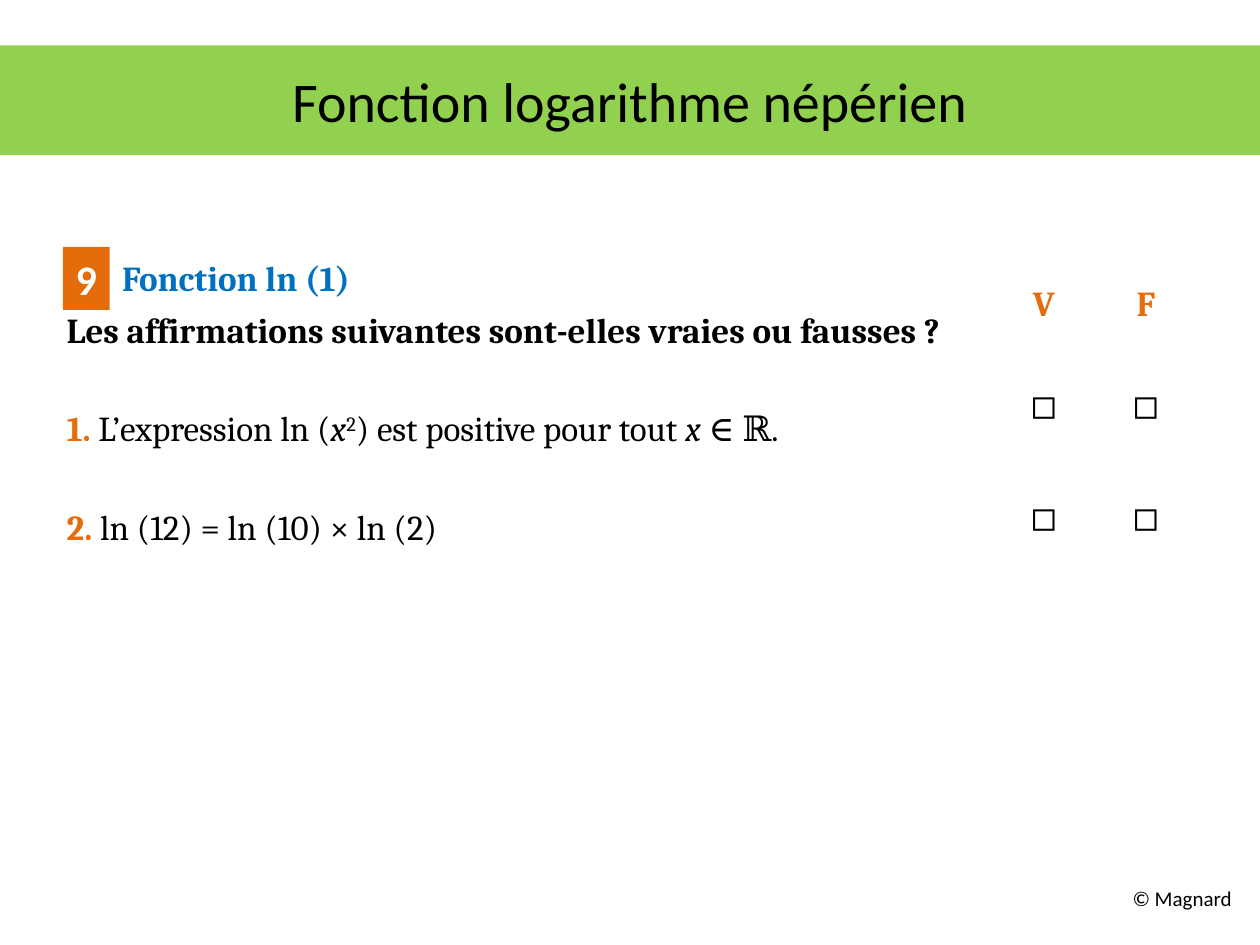
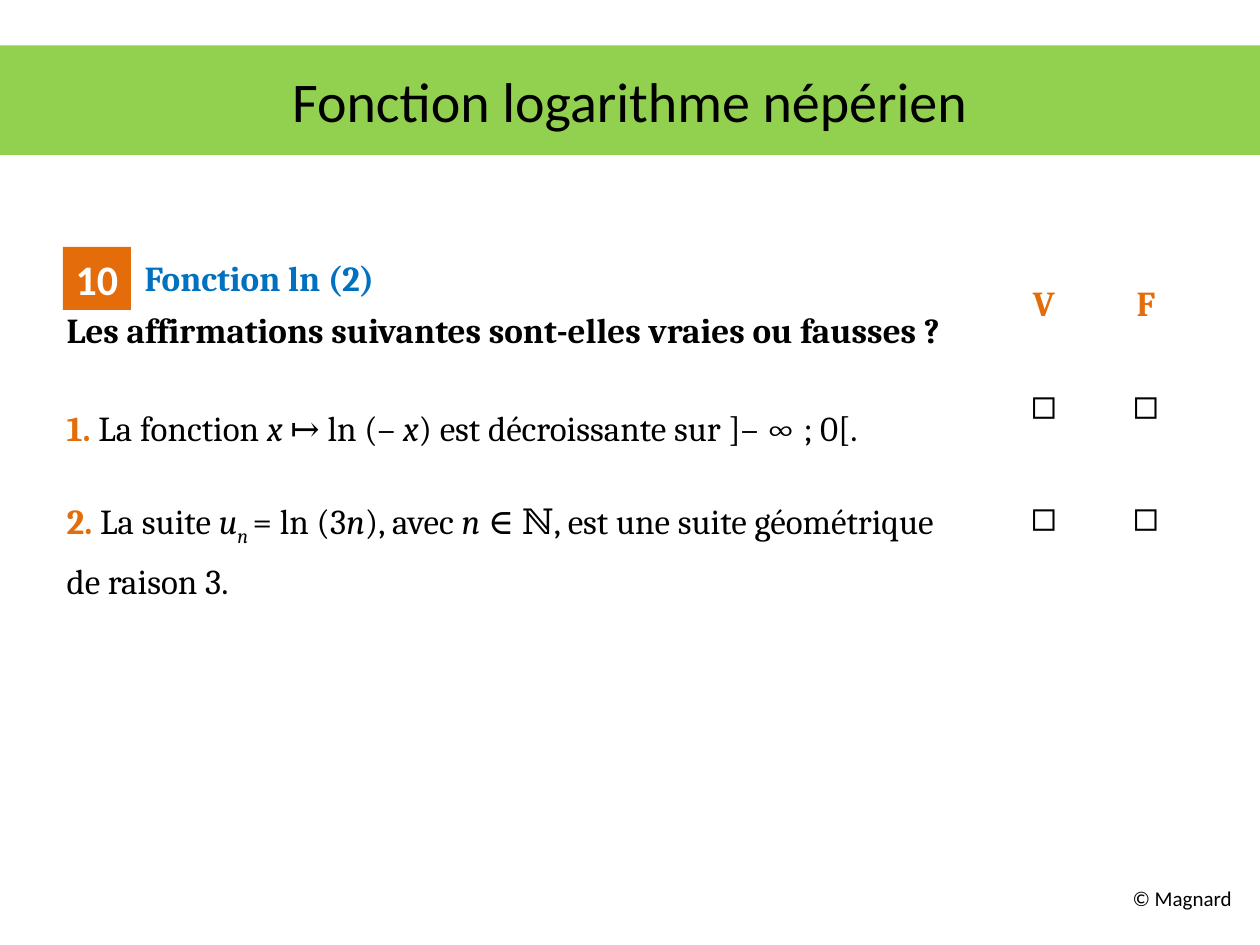
from pptx import Presentation
from pptx import util as u
from pptx.dml.color import RGBColor
from pptx.enum import shapes, text

GREEN = RGBColor(0x92, 0xD0, 0x50)
ORANGE = RGBColor(0xE4, 0x6C, 0x0A)
BLUE = RGBColor(0x00, 0x70, 0xC0)
BLACK = RGBColor(0, 0, 0)
WHITE = RGBColor(255, 255, 255)

TITLE = {"name": "Calibri", "size": u.Pt(32), "color": BLACK}
BADGE = {"name": "Calibri", "size": u.Pt(24), "color": WHITE, "bold": True}
FOOTER = {"name": "Calibri", "size": u.Pt(12), "color": BLACK}
PLAIN = {"name": "Cambria", "size": u.Pt(20), "color": BLACK, "bold": False}
STRONG = {**PLAIN, "bold": True}
ITALIC = {**PLAIN, "italic": True}
SUPER = {**PLAIN, "baseline": 30000}
SUB = {**ITALIC, "baseline": -25000}
HEADING = {**STRONG, "color": BLUE}
ACCENT = {**STRONG, "color": ORANGE}
CHECK = {**PLAIN, "size": u.Pt(24)}

QUESTION = [("Les affirmations suivantes sont-elles vraies ou fausses ?", STRONG)]
ANSWER_ROWS = [
    (0.43, ("V", "F"), ACCENT),
    (1.18, ("◻", "◻"), CHECK),
    (0.6, ("◻", "◻"), CHECK),
    (0.54, ("", ""), PLAIN),
    (0.54, ("", ""), PLAIN),
]
EXERCISES = [
    {
        "number": "9", "badge_width": 0.37, "indent": 0.44,
        "heading": "Fonction ln (1)",
        "lines": [
            (32, [("1. ", ACCENT), ("L’expression ln (", PLAIN), ("x", ITALIC),
                  ("2", SUPER), (") est positive pour tout ", PLAIN),
                  ("x ", ITALIC), ("∈ ℝ.", PLAIN)]),
            (32, [("2. ", ACCENT), ("ln (12) = ln (10) × ln (2)", PLAIN)]),
        ],
    },
    {
        "number": "10", "badge_width": 0.54, "indent": 0.62,
        "heading": "Fonction ln (2)",
        "lines": [
            (32, [("1. ", ACCENT), ("La fonction ", PLAIN), ("x ", ITALIC),
                  ("↦ ln (– ", PLAIN), ("x", ITALIC),
                  (") est décroissante sur ]– ∞ ; 0[.", PLAIN)]),
            (32, [("2. ", ACCENT), ("La suite ", PLAIN), ("u", ITALIC),
                  ("n ", SUB), ("= ln (3", PLAIN), ("n", ITALIC),
                  ("), avec ", PLAIN), ("n ", ITALIC),
                  ("∈ ℕ, est une suite géométrique", PLAIN)]),
            (7.4, [("de raison 3.", PLAIN)]),
        ],
    },
]


def inches(*lengths):
    return [u.Inches(length) for length in lengths]


def add_span(para, words, style):
    span = para.add_run()
    span.text = words
    for key, value in style.items():
        if key == "color":
            span.font.color.rgb = value
        elif key == "baseline":
            span.font._element.set("baseline", str(value))
        else:
            setattr(span.font, key, value)


def add_block(page, box, fill, words, style, wrap):
    block = page.shapes.add_shape(shapes.MSO_SHAPE.RECTANGLE, *inches(*box))
    block.shadow.inherit = False
    block.fill.solid()
    block.fill.fore_color.rgb = fill
    block.line.fill.background()
    frame = block.text_frame
    frame.word_wrap = wrap
    frame.vertical_anchor = text.MSO_ANCHOR.MIDDLE
    para = frame.paragraphs[0]
    para.alignment = text.PP_ALIGN.CENTER
    add_span(para, words, style)


def add_footer(page, box):
    frame = page.shapes.add_textbox(*inches(*box)).text_frame
    frame.word_wrap = False
    add_span(frame.paragraphs[0], "© Magnard", FOOTER)


def add_statements(page, box, exercise):
    left, top, width, height = box
    frame = page.shapes.add_textbox(*inches(left, top, width, height)).text_frame
    frame.word_wrap = True
    lines = [(0, [(exercise["heading"], HEADING)]), (5.7, QUESTION), *exercise["lines"]]
    for index, (gap, spans) in enumerate(lines):
        para = frame.add_paragraph() if index else frame.paragraphs[0]
        para.line_spacing = u.Pt(24)
        para.space_before = u.Pt(gap)
        if index == 0:
            para._p.get_or_add_pPr().set("indent", str(u.Inches(exercise["indent"])))
        for words, style in spans:
            add_span(para, words, style)
    add_block(page, (left + 0.07, top - 0.03, exercise["badge_width"], 0.5),
              ORANGE, exercise["number"], BADGE, False)


def add_answers(page, box):
    table = page.shapes.add_table(len(ANSWER_ROWS), 2, *inches(*box)).table
    table.first_row = table.horz_banding = False
    for column in table.columns:
        column.width = u.Inches(box[2] / 2)
    for row, (height, labels, style) in zip(table.rows, ANSWER_ROWS):
        row.height = u.Inches(height)
        for cell, label in zip(row.cells, labels):
            cell.fill.background()
            cell.margin_top = cell.margin_bottom = 0
            cell.vertical_anchor = text.MSO_ANCHOR.MIDDLE
            para = cell.text_frame.paragraphs[0]
            para.alignment = text.PP_ALIGN.CENTER
            if label:
                add_span(para, label, style)


def add_exercise(deck, exercise):
    page = deck.slides.add_slide(deck.slide_layouts[6])
    add_footer(page, (8.89, 6.98, 1, 0.3))
    add_statements(page, (0.43, 1.99, 7.45, 4.82), exercise)
    add_block(page, (0, 0.36, 10, 0.87), GREEN, "Fonction logarithme népérien", TITLE, True)
    add_answers(page, (7.88, 2.21, 1.62, 3.29))


def main():
    deck = Presentation()
    deck.slide_width, deck.slide_height = inches(10, 7.5)
    for exercise in EXERCISES:
        add_exercise(deck, exercise)
    deck.save("out.pptx")


if __name__ == "__main__":
    main()
